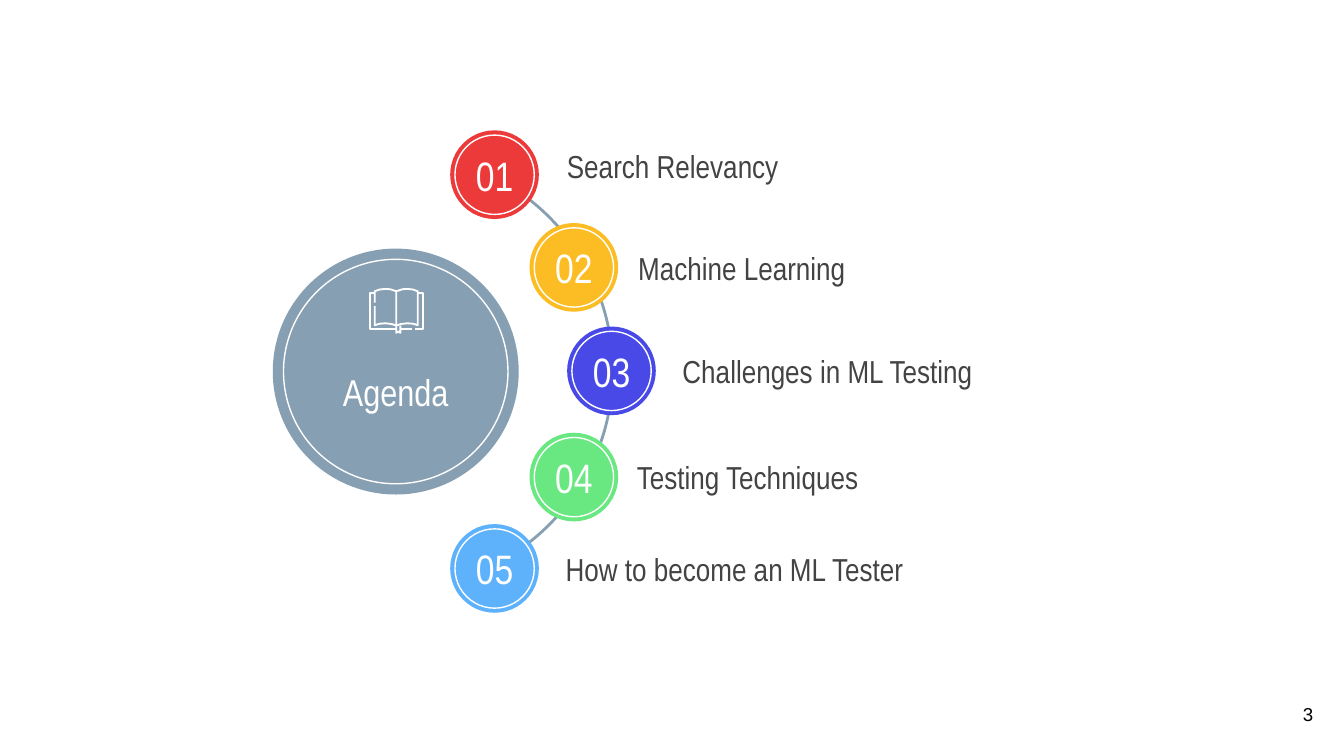
from dataclasses import dataclass

from pptx import Presentation
from pptx.dml.color import RGBColor
from pptx.enum.shapes import MSO_SHAPE as Preset
from pptx.enum.text import MSO_ANCHOR as Anchor, MSO_AUTO_SIZE as AutoSize, PP_ALIGN as Align
from pptx.util import Inches, Pt

COLORS = {
    "slate": "869FB2", "white": "FFFFFF", "text": "434343", "black": "000000",
    "red": "EC3A3B", "amber": "FCBD24", "indigo": "4949E7", "green": "69E781", "sky": "5EB2FC",
}
CELL = Inches(0.1)
COLUMNS, ROWS = 100, 56.25
NARROW = "Arial Narrow"

# number, label, colour, left and top of the disc, gap to the label, rise of the label
AGENDA = [
    ("01", "Search Relevancy", "red", 33.5, 9.7, 1.1, 0.65),
    ("02", "Machine Learning", "amber", 39.4, 16.6, 0.5, 0),
    ("03", "Challenges in ML Testing", "indigo", 42.2, 24.3, 1, 0),
    ("04", "Testing Techniques", "green", 39.4, 32.2, 0.4, 0),
    ("05", "How to become an ML Tester", "sky", 33.5, 39, 1, 0),
]

BOOK_GRID = (42, 34)
BOOK_STROKES = [
    [(20.5, 28), (20.5, 2.5), (16, 1), (12.5, 0.7), (8, 1.2), (4.5, 2.5), (4.5, 11)],
    [(4.5, 13.5), (4.5, 27.7), (8, 26.6), (12.5, 26.3), (17, 26.8), (20.5, 28)],
    [(20.5, 2.5), (25, 1), (28.5, 0.7), (33, 1.2), (36.5, 2.5), (36.5, 27.7),
     (33, 26.6), (28.5, 26.3), (24, 26.8), (20.5, 28)],
    [(4, 3.5), (0.7, 3.5), (0.7, 30.4), (20.5, 30.4)],
    [(20.5, 28), (20.5, 33.4), (22, 32.4), (23.5, 33.4), (23.5, 28)],
    [(23.5, 30.4), (32, 30.4)],
    [(34.5, 30.4), (40.5, 30.4), (40.5, 3.5), (37, 3.5)],
]


@dataclass
class Box:
    """A rectangle measured in grid cells."""
    left: float
    top: float
    width: float
    height: float

    def inset(self, margin):
        """Return the box shrunk by a margin on every side."""
        return Box(self.left + margin, self.top + margin,
                   self.width - 2 * margin, self.height - 2 * margin)

    def emu(self):
        """Return left, top, width and height in slide units."""
        return [round(value * CELL) for value in (self.left, self.top, self.width, self.height)]


def color(name):
    """Return the named colour."""
    return RGBColor.from_string(COLORS[name])


def write(shape, text, size, ink, align, font=NARROW, margins=(0, 0, 0, 0), wrap=True):
    """Write one vertically centred line into a shape."""
    frame = shape.text_frame
    frame.auto_size, frame.word_wrap = AutoSize.NONE, wrap
    frame.vertical_anchor = Anchor.MIDDLE
    frame.margin_left, frame.margin_top, frame.margin_right, frame.margin_bottom = map(Inches, margins)
    paragraph = frame.paragraphs[0]
    paragraph.alignment = align
    run = paragraph.add_run()
    run.text = text
    run.font.name, run.font.size, run.font.bold = font, Pt(size), False
    run.font.color.rgb = color(ink)


def add_preset(slide, preset, box, fill=None, line=None, weight=0.75):
    """Add a flat preset shape with an optional fill and outline."""
    shape = slide.shapes.add_shape(preset, *box.emu())
    shape.shadow.inherit = False
    if fill:
        shape.fill.solid()
        shape.fill.fore_color.rgb = color(fill)
    else:
        shape.fill.background()
    if line:
        shape.line.color.rgb = color(line)
        shape.line.width = Pt(weight)
    else:
        shape.line.fill.background()
    return shape


def add_disc(slide, box, fill, margin):
    """Add a filled disc and return the thin ring inside it."""
    add_preset(slide, Preset.OVAL, box, fill=fill)
    return add_preset(slide, Preset.OVAL, box.inset(margin), line="white")


def add_orbit(slide, box):
    """Add the arc that links the agenda items."""
    arc = add_preset(slide, Preset.ARC, box, line="slate", weight=1.5)
    for index, degrees in enumerate((296.9, 64.1)):
        arc.adjustments[index] = degrees * 0.6


def add_book(slide, box):
    """Draw an open book in white strokes."""
    left, top, width, height = box.emu()
    strokes = [[(left + x * width / BOOK_GRID[0], top + y * height / BOOK_GRID[1]) for x, y in stroke]
               for stroke in BOOK_STROKES]
    builder = slide.shapes.build_freeform(*strokes[0][0])
    for stroke in strokes:
        builder.move_to(*stroke[0])
        builder.add_line_segments(stroke[1:], close=False)
    book = builder.convert_to_shape()
    book.shadow.inherit = False
    book.fill.background()
    book.line.color.rgb = color("white")
    book.line.width = Pt(1)


def add_hub(slide, box):
    """Add the large disc with the book and the slide title."""
    add_disc(slide, box, "slate", 0.8)
    add_book(slide, Box(box.left + box.width * 0.39, box.top + box.height * 0.16, 4.2, 3.4))
    title = slide.shapes.title
    title.left, title.top, title.width, title.height = box.inset(0.8).emu()
    write(title, "Agenda", 20, "white", Align.CENTER, margins=(0.1, 0.4, 0.1, 0.1))
    slide.shapes.element.append(title.element)


def add_item(slide, box, number, label, fill, gap, rise):
    """Add a numbered disc with its label to the right."""
    ring = add_disc(slide, box, fill, 0.35)
    write(ring, number, 22, "white", Align.CENTER, wrap=False)
    label_box = Box(box.left + box.width + gap, box.top + 1.3 - rise, 32.4, 4)
    write(slide.shapes.add_textbox(*label_box.emu()), label, 17, "text", Align.LEFT,
          margins=(0.1, 0, 0.1, 0))


def add_page_number(slide, box, number):
    """Add the page number in the corner."""
    write(slide.shapes.add_textbox(*box.emu()), number, 10, "black", Align.RIGHT,
          font="Arial", margins=(0.1, 0.1, 0.1, 0.1))


def main():
    """Build and save the agenda slide."""
    presentation = Presentation()
    presentation.slide_width = round(COLUMNS * CELL)
    presentation.slide_height = round(ROWS * CELL)
    slide = presentation.slides.add_slide(presentation.slide_layouts[5])
    add_orbit(slide, Box(13.2, 11.4, 32.4, 32.4))
    add_hub(slide, Box(20.3, 18.5, 18.3, 18.3))
    for number, label, fill, left, top, gap, rise in AGENDA:
        add_item(slide, Box(left, top, 6.6, 6.6), number, label, fill, gap, rise)
    add_page_number(slide, Box(92.7, 51, 6, 4.3), "3")
    presentation.save("out.pptx")


if __name__ == "__main__":
    main()
